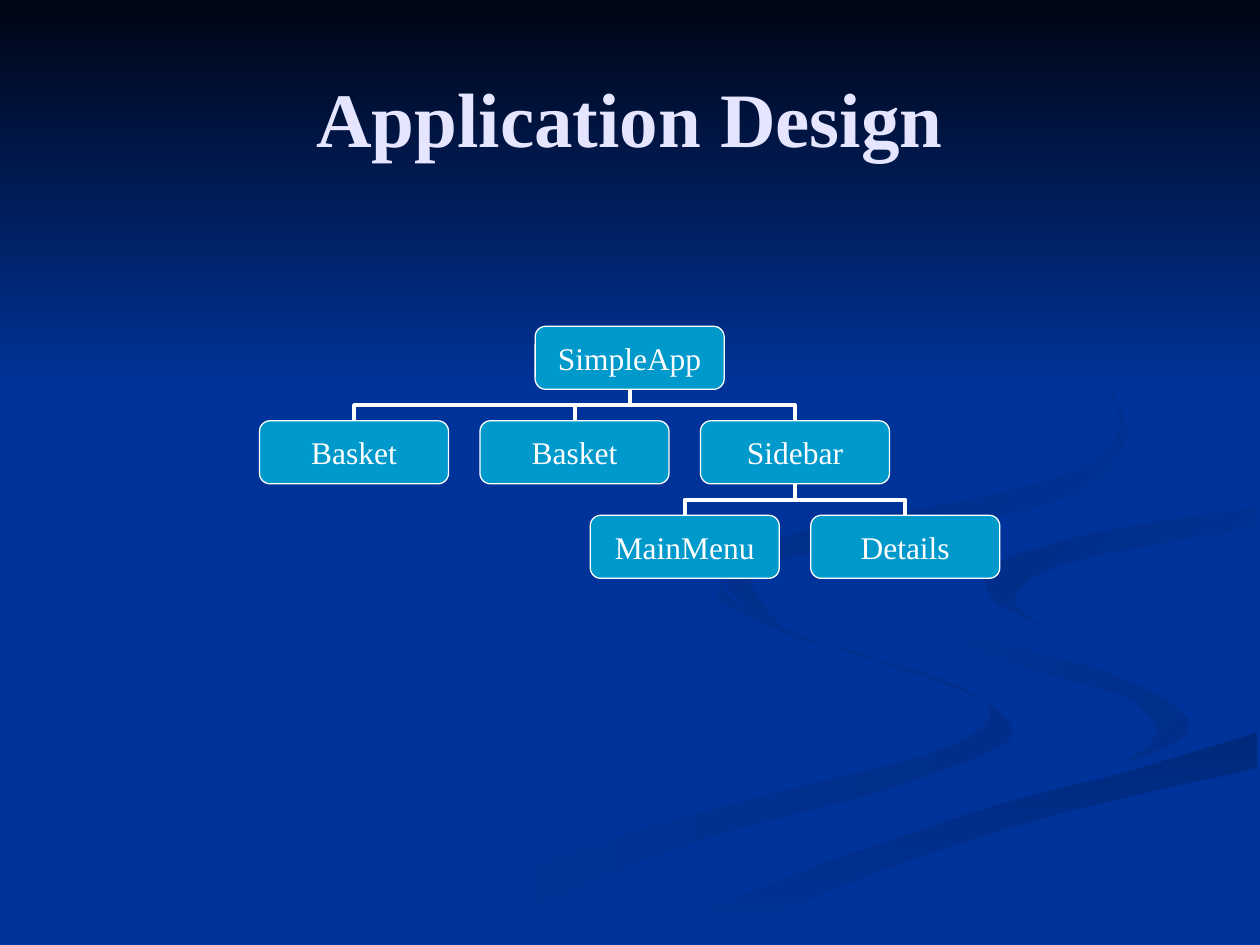
"""Build the Application Design slide: a component tree over a ribboned blue background."""
from typing import NamedTuple

from lxml import etree
from pptx import Presentation
from pptx.dml.color import RGBColor
from pptx.enum.shapes import MSO_CONNECTOR, MSO_SHAPE
from pptx.enum.text import MSO_ANCHOR, PP_ALIGN
from pptx.oxml.ns import qn
from pptx.util import Inches, Pt

ELBOW = MSO_CONNECTOR.ELBOW
RECTANGLE = MSO_SHAPE.RECTANGLE
ROUNDED = MSO_SHAPE.ROUNDED_RECTANGLE
MIDDLE = MSO_ANCHOR.MIDDLE
CENTER = PP_ALIGN.CENTER

COLORS = {
    "background": "003399",
    "night": "000514",
    "shade_soft": "002E8A",
    "shade_deep": "00297C",
    "shade_right": "002C85",
    "shade_top": "002B81",
    "title": "E5E5FF",
    "box": "0099CC",
    "white": "FFFFFF",
}
FONT = "Times New Roman"
BOX_WIDTH, BOX_HEIGHT = 1.5, 0.5
TREE_LEFT, TREE_TOP = 2.06, 2.59
COLUMN_STEP, ROW_STEP = 1.75, 0.75
QUARTER_TURN = 90 * 60000
CURVE_STEPS = 5


class Ribbon(NamedTuple):
    """A band between two smooth edges in hundredths of an inch, shaded clockwise."""
    start_color: str
    end_color: str
    angle: int
    edges: tuple


class Node(NamedTuple):
    """A box of the tree, placed by column and row."""
    label: str
    column: float
    row: int
    parent: int | None = None

    @property
    def left(self) -> float:
        """Left edge in inches."""
        return TREE_LEFT + self.column * COLUMN_STEP

    @property
    def top(self) -> float:
        """Top edge in inches."""
        return TREE_TOP + self.row * ROW_STEP


LOWER_EDGE = ((503, 749), (599, 706), (764, 647), (903, 610), (998, 581))
RIGHT_EDGE = ((998, 402), (865, 424), (791, 447), (781, 460))
RIBBONS = (
    Ribbon("shade_soft", "background", 180, (
        ((575, 459), (583, 477), (642, 507), (745, 538), (795, 567), (795, 592), (699, 628),
         (532, 674), (361, 749)),
        ((300, 749), (417, 690), (579, 639), (739, 598), (786, 566), (741, 539), (631, 505),
         (576, 480), (570, 468)))),
    Ribbon("shade_soft", "background", 225, (
        ((724, 464), (745, 490), (811, 515), (905, 540), (943, 570), (932, 589), (894, 605)),
        ((894, 605), (918, 581), (892, 553), (815, 530), (755, 505), (724, 464)))),
    Ribbon("shade_deep", "background", 90, (
        LOWER_EDGE,
        ((998, 609), (821, 651), (670, 702), (571, 749)))),
    Ribbon("background", "background", 0, (
        LOWER_EDGE,
        ((998, 538), (866, 509), (794, 480), (781, 460)),
        RIGHT_EDGE[::-1],
        ((998, 387), (830, 415), (742, 439), (725, 464), (759, 498), (871, 530), (943, 570),
         (911, 600), (743, 643), (573, 703), (477, 749)))),
    Ribbon("background", "shade_right", 225, (
        RIGHT_EDGE,
        ((781, 460), (791, 478), (826, 496)),
        ((826, 496), (805, 474), (843, 448), (936, 429), (998, 420)))),
    Ribbon("background", "shade_top", 225, (
        ((762, 233), (843, 275), (890, 324), (883, 370), (825, 402), (683, 430), (598, 456),
         (622, 500)),
        ((622, 500), (577, 462), (637, 422), (791, 392), (876, 360), (876, 306), (762, 233)))),
)

NODES = (
    Node("SimpleApp", 1.25, 0),
    Node("Basket", 0, 1, 0),
    Node("Basket", 1, 1, 0),
    Node("Sidebar", 2, 1, 0),
    Node("MainMenu", 1.5, 2, 3),
    Node("Details", 2.5, 2, 3),
)


def color(name: str) -> RGBColor:
    """Look up a named colour."""
    return RGBColor.from_string(COLORS[name])


def smooth(edge: tuple) -> list:
    """Run a Catmull-Rom curve through the points of an edge."""
    padded = (edge[0], *edge, edge[-1])
    curve = [edge[0]]
    for knots in zip(padded, padded[1:], padded[2:], padded[3:]):
        for step in range(1, CURVE_STEPS + 1):
            t = step / CURVE_STEPS
            curve.append(tuple(
                b + t * (c - a + t * (2 * a - 5 * b + 4 * c - d
                                      + t * (3 * b - a - 3 * c + d))) / 2
                for a, b, c, d in zip(*knots)))
    return curve


def shade(shape, start_color: str, end_color: str, angle: int) -> None:
    """Fill a borderless shape with a two-colour gradient at a clockwise angle."""
    shape.shadow.inherit = False
    shape.line.fill.background()
    if start_color == end_color:
        shape.fill.solid()
        shape.fill.fore_color.rgb = color(start_color)
        return
    shape.fill.gradient()
    shape.fill.gradient_angle = 360 - angle
    for stop, name in zip(shape.fill.gradient_stops, (start_color, end_color)):
        stop.color.rgb = color(name)


def draw_ribbon(slide, ribbon: Ribbon) -> None:
    """Draw one background ribbon."""
    points = [point for edge in ribbon.edges for point in smooth(edge)]
    builder = slide.shapes.build_freeform(*points[0], scale=Inches(0.01))
    builder.add_line_segments(points[1:], close=True)
    shade(builder.convert_to_shape(), ribbon.start_color, ribbon.end_color, ribbon.angle)


def write(shape, text: str, *, size: int, font_color: str, bold: bool = False,
          wrap: bool = True) -> None:
    """Put one centred paragraph in a shape."""
    frame = shape.text_frame
    frame.word_wrap = wrap
    frame.vertical_anchor = MIDDLE
    paragraph = frame.paragraphs[0]
    paragraph.alignment = CENTER
    run = paragraph.add_run()
    run.text = text
    run.font.name, run.font.size, run.font.bold = FONT, Pt(size), bold
    run.font.color.rgb = color(font_color)


def draw_branch(slide, parent: Node, child: Node) -> None:
    """Join a parent's bottom to a child's top with a turned elbow connector."""
    start_y = parent.top + BOX_HEIGHT
    drop, shift = child.top - start_y, child.left - parent.left
    center_x = (parent.left + child.left + BOX_WIDTH) / 2
    center_y = (start_y + child.top) / 2
    side, turns = (1, 3) if shift > 0 else (-1, 1)
    connector = slide.shapes.add_connector(
        ELBOW,
        Inches(center_x + side * drop / 2), Inches(center_y - abs(shift) / 2),
        Inches(center_x - side * drop / 2), Inches(center_y + abs(shift) / 2))
    properties = connector._element.spPr
    properties.find(qn("a:xfrm")).set("rot", str(turns * QUARTER_TURN))
    connector.line.color.rgb = color("white")
    connector.line.width = Pt(2.25)
    etree.SubElement(properties, qn("a:effectLst"))


def draw_node(slide, node: Node) -> None:
    """Draw one labelled box."""
    box = slide.shapes.add_shape(ROUNDED, Inches(node.left), Inches(node.top),
                                 Inches(BOX_WIDTH), Inches(BOX_HEIGHT))
    box.shadow.inherit = False
    box.fill.solid()
    box.fill.fore_color.rgb = color("box")
    box.line.color.rgb = color("white")
    box.line.width = Pt(0.75)
    write(box, node.label, size=18, font_color="white", wrap=False)


def main() -> None:
    """Build and save the slide."""
    presentation = Presentation()
    presentation.slide_width, presentation.slide_height = Inches(10), Inches(7.5)
    slide = presentation.slides.add_slide(presentation.slide_layouts[6])
    slide.background.fill.solid()
    slide.background.fill.fore_color.rgb = color("background")
    for ribbon in RIBBONS:
        draw_ribbon(slide, ribbon)
    sky = slide.shapes.add_shape(RECTANGLE, 0, 0, Inches(10), Inches(3.08))
    shade(sky, "night", "background", 90)
    title = slide.shapes.add_textbox(Inches(0.5), Inches(0.3), Inches(9), Inches(1.25))
    write(title, "Application Design", size=44, font_color="title", bold=True)
    for node in NODES:
        if node.parent is not None:
            draw_branch(slide, NODES[node.parent], node)
    for node in NODES:
        draw_node(slide, node)
    presentation.save("out.pptx")


if __name__ == "__main__":
    main()
